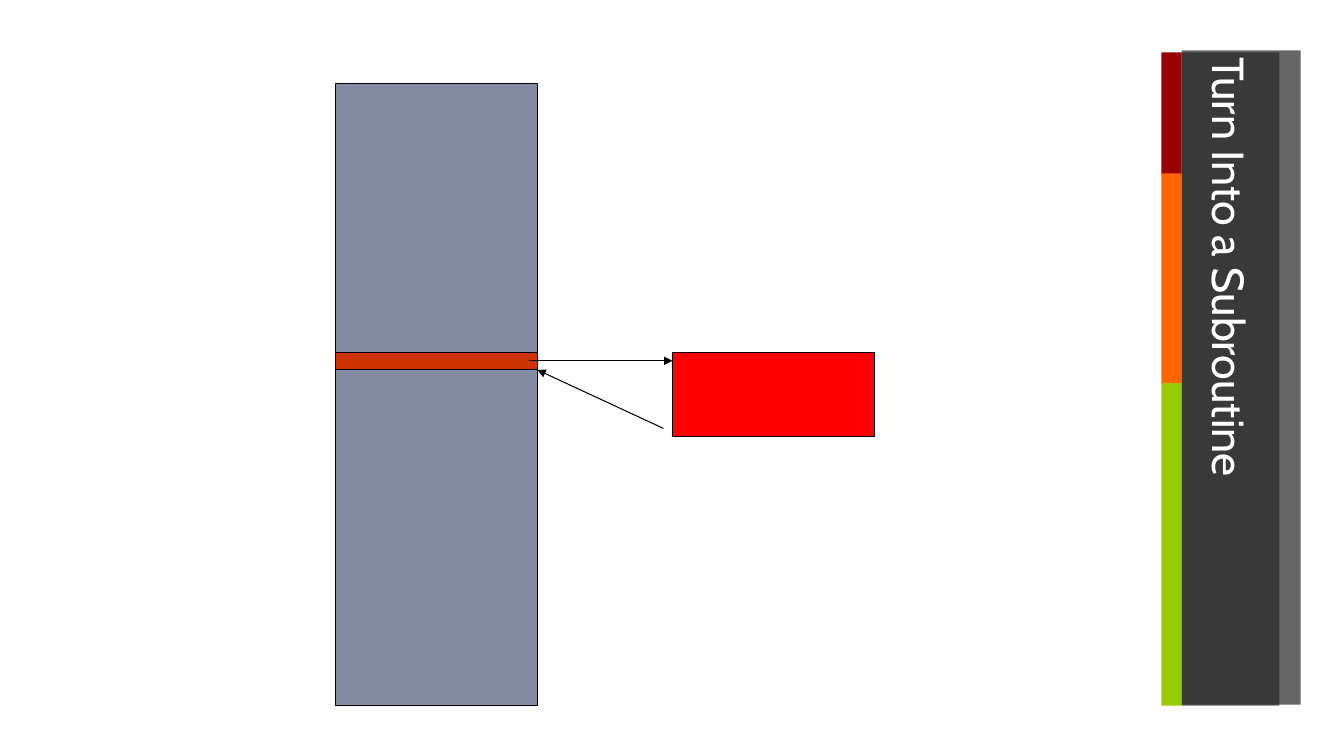
from lxml import etree
from pptx import Presentation
from pptx.dml.color import RGBColor
from pptx.enum.shapes import MSO_CONNECTOR, MSO_SHAPE
from pptx.enum.text import MSO_ANCHOR, MSO_AUTO_SIZE, PP_ALIGN
from pptx.oxml.ns import qn
from pptx.util import Inches, Pt

RECT = MSO_SHAPE.RECTANGLE
STRAIGHT = MSO_CONNECTOR.STRAIGHT
MIDDLE = MSO_ANCHOR.MIDDLE
NO_FIT = MSO_AUTO_SIZE.NONE
LEFT = PP_ALIGN.LEFT

BLACK = RGBColor(0x00, 0x00, 0x00)
WHITE = RGBColor(0xFF, 0xFF, 0xFF)
DARK = RGBColor(0x26, 0x26, 0x26)
MAROON = RGBColor(0x99, 0x00, 0x00)
ORANGE = RGBColor(0xFF, 0x66, 0x00)
LIME = RGBColor(0x99, 0xCC, 0x00)
SLATE = RGBColor(0x86, 0x8B, 0xA4)
RED = RGBColor(0xFF, 0x00, 0x00)
RUST = RGBColor(0xCC, 0x33, 0x00)


def paint(shape, color, alpha=100):
    """Fill a shape with a colour at an opacity in percent."""
    shape.fill.solid()
    shape.fill.fore_color.rgb = color
    if alpha < 100:
        tone = shape.fill._xPr.find(".//" + qn("a:srgbClr"))
        etree.SubElement(tone, qn("a:alpha")).set("val", str(alpha * 1000))


def write(shape, text, font="Cabin", size=32, color=WHITE, align=LEFT):
    para = shape.text_frame.paragraphs[0]
    para.alignment = align
    run = para.add_run()
    run.text = text
    run.font.name = font
    run.font.size = Pt(size)
    run.font.color.rgb = color


prs = Presentation()
prs.slide_width = Inches(13.33)
prs.slide_height = Inches(7.5)
slide = prs.slides.add_slide(prs.slide_layouts[5])
shapes = slide.shapes

# Side panel, colour strip, then the program and its subroutine
boxes = [
    (11.72, 0.5, 1.18, 6.49, DARK, 70, False),
    (11.52, 0.52, 0.2, 1.21, MAROON, 100, False),
    (11.52, 1.72, 0.2, 2.08, ORANGE, 100, False),
    (11.52, 3.8, 0.2, 3.2, LIME, 100, False),
    (3.33, 0.83, 2, 6.17, SLATE, 100, True),
    (6.67, 3.5, 2, 0.83, RED, 100, True),
    (3.33, 3.5, 2, 0.17, RUST, 100, True),
]
for x, y, w, h, color, alpha, edged in boxes:
    box = shapes.add_shape(RECT, Inches(x), Inches(y), Inches(w), Inches(h))
    box.shadow.inherit = False
    paint(box, color, alpha)
    if edged:
        box.line.color.rgb = BLACK
        box.line.width = Pt(0.75)
    else:
        box.line.fill.background()

# Call and return arrows
for ends in [(5.25, 3.58, 6.67, 3.58), (6.58, 4.25, 5.33, 3.67)]:
    arrow = shapes.add_connector(STRAIGHT, *map(Inches, ends))
    arrow.line.color.rgb = BLACK
    arrow.line.width = Pt(0.75)
    line = arrow.line._get_or_add_ln()
    etree.SubElement(line, qn("a:tailEnd")).set("type", "triangle")
    etree.SubElement(arrow._element.spPr, qn("a:effectLst"))

# Vertical title, in front of the panel
title = shapes.title
title.left, title.top = Inches(11.72), Inches(0.52)
title.width, title.height = Inches(0.97), Inches(6.48)
paint(title, DARK, 70)
frame = title.text_frame
frame.word_wrap = True
frame.auto_size = NO_FIT
frame.vertical_anchor = MIDDLE
frame._txBody.bodyPr.set("vert", "eaVert")
write(title, "Turn Into a Subroutine")
shapes._spTree.append(title._element)

prs.save("out.pptx")
